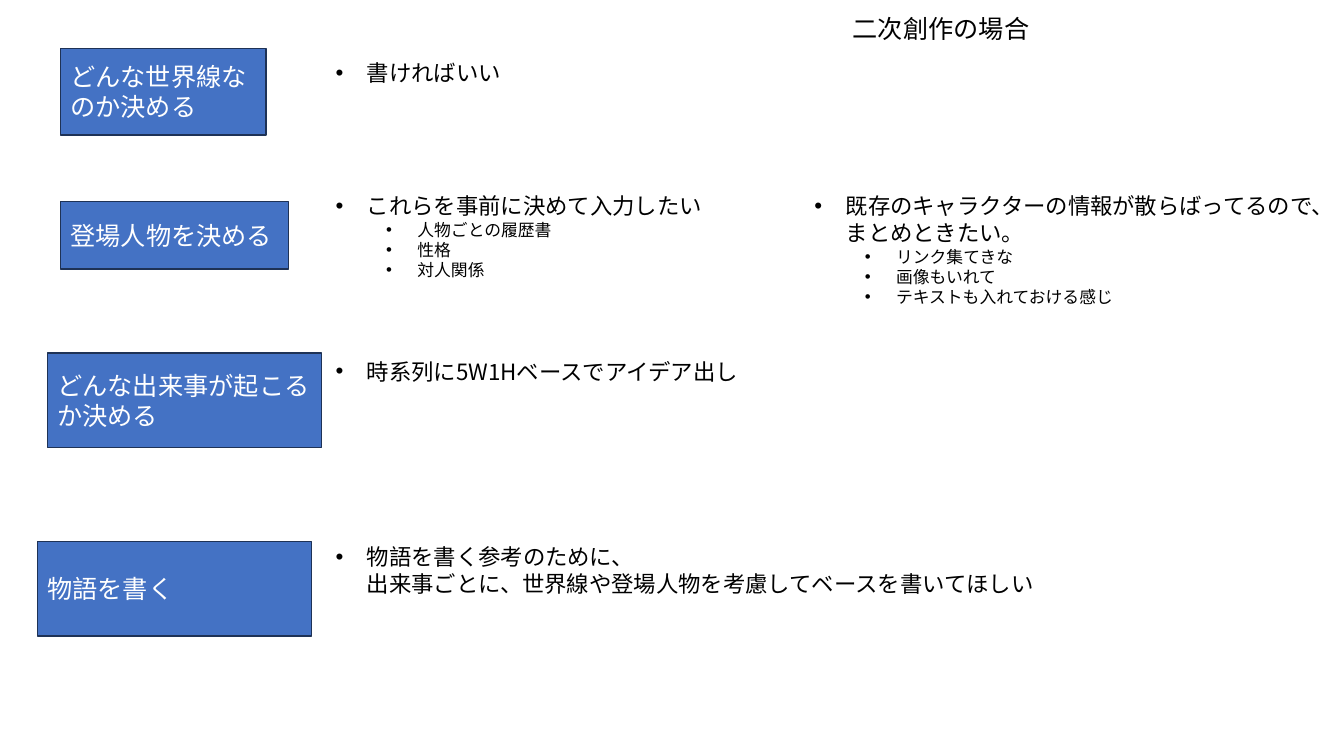
from lxml import etree
from pptx import Presentation
from pptx.dml.color import RGBColor
from pptx.enum.shapes import MSO_SHAPE
from pptx.enum.text import MSO_ANCHOR, MSO_AUTO_SIZE, PP_ALIGN
from pptx.oxml.ns import qn
from pptx.util import Inches, Pt

RECTANGLE = MSO_SHAPE.RECTANGLE
TOP, MIDDLE = MSO_ANCHOR.TOP, MSO_ANCHOR.MIDDLE
GROW = MSO_AUTO_SIZE.SHAPE_TO_FIT_TEXT
LEFT = PP_ALIGN.LEFT

WIDTH, HEIGHT = Inches(13.33), Inches(7.5)
TWO_CONTENT_LAYOUT = 3
FONT = "Noto Sans CJK JP"
BLUE, NAVY, WHITE, BLACK = "4472C4", "1E3256", "FFFFFF", "000000"
LIST_LEFT = 24.23
LEVEL_SIZES = (16, 12)
LEVEL_INDENTS = (0.31, 0.81)
HANGING = 0.31

STEPS = [
    ("どんな世界線なのか決める", (4.5, 6.4, 15.3, 11.47)),
    ("登場人物を決める", (4.5, 26.67, 16.95, 8.93)),
    ("どんな出来事が起こるか決める", (3.53, 46.67, 20.4, 12.53)),
    ("物語を書く", (2.78, 71.6, 20.4, 12.53)),
]
CHARACTER_LISTS = [
    ([("これらを事前に決めて入力したい", 0), ("人物ごとの履歴書", 1),
      ("性格", 1), ("対人関係", 1)], (LIST_LEFT, 24.8, 29.1, 13.07)),
    ([("既存のキャラクターの情報が散らばってるので、\nまとめときたい。", 0),
      ("リンク集てきな", 1), ("画像もいれて", 1),
      ("テキストも入れておける感じ", 1)], (59.85, 24.8, 40.88, 16.67)),
]
NOTES = [
    ("書ければいい", (LIST_LEFT, 7.2, 13.95, 4.93)),
    ("時系列に5W1Hベースでアイデア出し", (LIST_LEFT, 46.67, 32.1, 4.93)),
    ("物語を書く参考のために、\n出来事ごとに、世界線や登場人物を考慮してベースを書いてほしい",
     (LIST_LEFT, 71.2, 54.38, 8.53)),
]


def color(code):
    """Turn a hex string into a colour."""
    return RGBColor.from_string(code)


def place(area):
    """Turn percentages of the slide's size into lengths."""
    return [round(share * side / 100)
            for share, side in zip(area, (WIDTH, HEIGHT) * 2)]


def move(box, area):
    """Put a placeholder at the given area."""
    box.left, box.top, box.width, box.height = place(area)


def add_text(para, text, size, code):
    """Add formatted runs, with a line break between the lines of the text."""
    para.alignment = LEFT
    para.line_spacing = 1.0
    para.space_before = para.space_after = Pt(0)
    for number, line in enumerate(text.split("\n")):
        if number:
            para.add_line_break()
        span = para.add_run()
        span.text = line
        span.font.size = Pt(size)
        span.font.name = FONT
        span.font.color.rgb = color(code)
        east_asian = etree.SubElement(span.font._element, qn("a:ea"))
        east_asian.set("typeface", FONT)


def add_bullet(para, level):
    """Give a paragraph a round bullet and a hanging indent."""
    para.level = level
    properties = para._p.get_or_add_pPr()
    properties.set("marL", str(Inches(LEVEL_INDENTS[level])))
    properties.set("indent", str(-Inches(HANGING)))
    etree.SubElement(properties, qn("a:buFont")).set("typeface", "Arial")
    etree.SubElement(properties, qn("a:buChar")).set("char", "•")


def fill_list(box, items):
    """Write bulleted items of one or two levels into a box."""
    frame = box.text_frame
    frame.word_wrap = False
    frame.auto_size = GROW
    frame.vertical_anchor = TOP
    for number, (text, level) in enumerate(items):
        para = frame.add_paragraph() if number else frame.paragraphs[0]
        add_text(para, text, LEVEL_SIZES[level], BLACK)
        add_bullet(para, level)


def fill_title(box, text, area):
    """Move the title and write its text."""
    move(box, area)
    frame = box.text_frame
    frame.word_wrap = True
    frame.auto_size = GROW
    frame.vertical_anchor = TOP
    add_text(frame.paragraphs[0], text, 18, BLACK)


def add_step(page, text, area):
    """Draw a blue box that names one step."""
    box = page.shapes.add_shape(RECTANGLE, *place(area))
    box.shadow.inherit = False
    box.fill.solid()
    box.fill.fore_color.rgb = color(BLUE)
    box.line.color.rgb = color(NAVY)
    box.line.width = Pt(1)
    frame = box.text_frame
    frame.word_wrap = True
    frame.vertical_anchor = MIDDLE
    add_text(frame.paragraphs[0], text, 18, WHITE)


def main():
    """Build and save the slide."""
    deck = Presentation()
    deck.slide_width, deck.slide_height = WIDTH, HEIGHT
    page = deck.slides.add_slide(deck.slide_layouts[TWO_CONTENT_LAYOUT])
    title, *bodies = page.placeholders
    fill_title(title, "二次創作の場合", (62.7, 1.07, 17.55, 5.33))
    for body, (items, area) in zip(bodies, CHARACTER_LISTS):
        move(body, area)
        fill_list(body, items)
    for text, area in STEPS:
        add_step(page, text, area)
    for text, area in NOTES:
        fill_list(page.shapes.add_textbox(*place(area)), [(text, 0)])
    deck.save("out.pptx")


if __name__ == "__main__":
    main()
